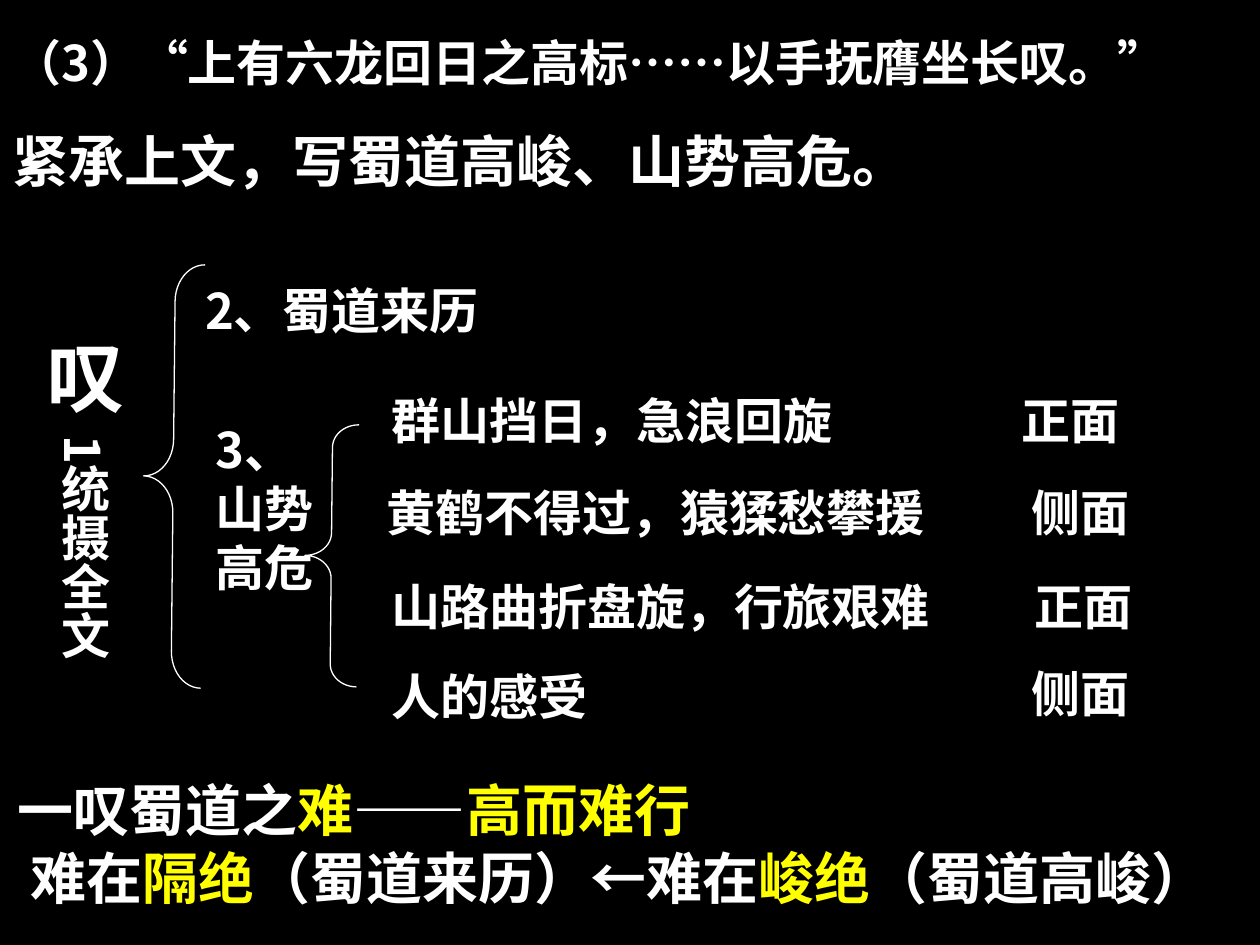
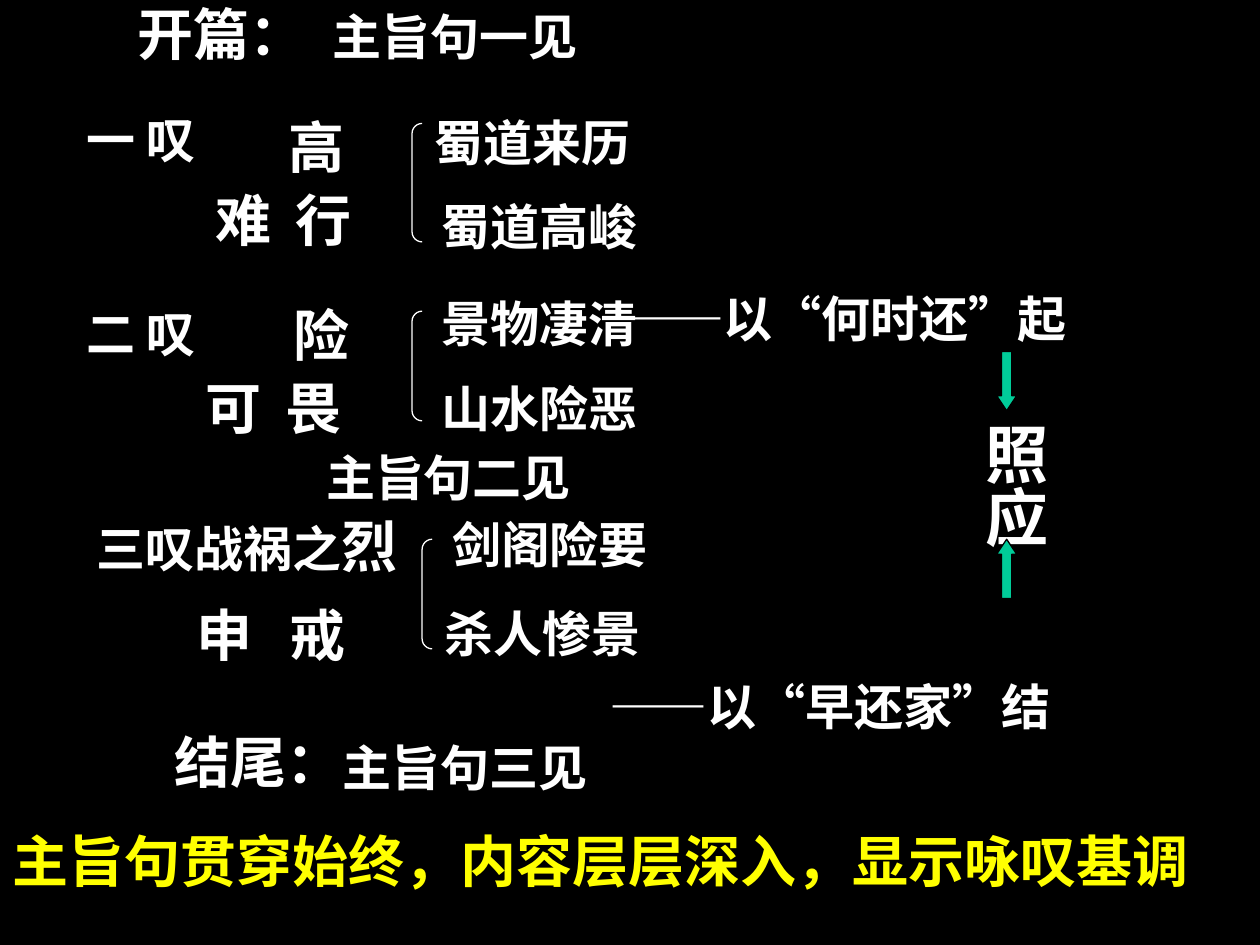
from dataclasses import dataclass

import pptx
import pptx.dml.color
import pptx.enum.shapes
import pptx.enum.text
import pptx.oxml
import pptx.oxml.ns
import pptx.util

SHAPES = pptx.enum.shapes.MSO_SHAPE
ALIGN = pptx.enum.text.PP_ALIGN
ANCHOR = pptx.enum.text.MSO_ANCHOR
COLUMN = pptx.util.Inches(0.1)


@dataclass(frozen=True)
class Theme:
    """Colours, fonts and type sizes shared by the slides."""
    ground: str = "000000"
    ink: str = "FFFFFF"
    accent: str = "FFFF00"
    arrow: str = "00CC99"
    chinese: str = "Noto Sans CJK SC"
    latin: str = "Times New Roman"
    body: int = 28
    key: int = 32
    link: int = 36
    sigh: int = 44
    stroke: float = 0.75


THEME = Theme()


@dataclass(frozen=True)
class Box:
    """A rectangle measured in grid columns and rows of a tenth of an inch."""
    left: float
    top: float
    width: float
    height: float

    def inside(self, left, top, width, height):
        """Return a box placed relative to this one."""
        return Box(self.left + left, self.top + top, width, height)

    def lengths(self):
        """Return the four lengths in slide units."""
        return [round(side * COLUMN) for side in
                (self.left, self.top, self.width, self.height)]


@dataclass(frozen=True)
class Span:
    """A stretch of text with its own size or colour."""
    text: str
    size: int = THEME.body
    color: str = THEME.ink
    font: str = THEME.chinese


def rgb(color):
    """Turn a hex string into a colour."""
    return pptx.dml.color.RGBColor.from_string(color)


def add_spans(para, spans):
    """Write spans into a paragraph as formatted runs."""
    for span in spans:
        run = para.add_run()
        run.text = span.text
        run.font.size = pptx.util.Pt(span.size)
        run.font.bold = True
        run.font.name = span.font
        run.font.color.rgb = rgb(span.color)
        east = pptx.oxml.parse_xml(
            f'<a:ea {pptx.oxml.ns.nsdecls("a")} typeface="{THEME.chinese}"/>')
        run.font._element.find(pptx.oxml.ns.qn("a:latin")).addnext(east)


def add_text(page, box, *lines, gap=0, anchor=ANCHOR.TOP, vertical=False):
    """Add a text box with one paragraph for each list of spans."""
    frame = page.shapes.add_textbox(*box.lengths()).text_frame
    frame.word_wrap = True
    frame.vertical_anchor = anchor
    if vertical:
        frame._txBody.bodyPr.set("vert", "eaVert")
        frame.margin_left = frame.margin_right = pptx.util.Inches(0.05)
        frame.margin_top = frame.margin_bottom = pptx.util.Inches(0.1)
    for index, spans in enumerate(lines):
        para = frame.add_paragraph() if index else frame.paragraphs[0]
        if index and gap:
            para.space_before = pptx.util.Pt(gap)
        add_spans(para, spans)
    return frame


def add_words(page, box, text, size=THEME.body, **options):
    """Add a single line of text in one size."""
    return add_text(page, box, [Span(text, size)], **options)


def add_pair(page, box, first, second, step):
    """Set two key characters apart with a tab stop."""
    frame = add_words(page, box, f"{first}\t{second}", THEME.key, anchor=ANCHOR.MIDDLE)
    frame.paragraphs[0]._p.get_or_add_pPr().append(pptx.oxml.parse_xml(
        f'<a:tabLst {pptx.oxml.ns.nsdecls("a")}>'
        f'<a:tab pos="{round(step * COLUMN)}" algn="l"/></a:tabLst>'))


def add_figure(page, kind, box, adjustments, line, fill=None, turn=0):
    """Add a brace, bracket or arrow."""
    shape = page.shapes.add_shape(kind, *box.lengths())
    shape.shadow.inherit = False
    shape.rotation = turn
    for index, value in enumerate(adjustments):
        shape.adjustments[index] = value
    shape.line.color.rgb = rgb(line)
    shape.line.width = pptx.util.Pt(THEME.stroke)
    if fill:
        shape.fill.solid()
        shape.fill.fore_color.rgb = rgb(fill)
    else:
        shape.fill.background()


def add_opening(page, box):
    """Write the quoted lines and what they describe."""
    add_text(page, box,
             [Span("（3）“上有六龙回日之高标……以手抚膺坐长叹。”")],
             [Span("紧承上文，写蜀道高峻、山势高危。", THEME.key)], gap=20)


def add_outline(page, box):
    """Draw the braces that lead from the sigh to its contents."""
    add_text(page, box.inside(0, 4.7, 8.3, 8.4),
             [Span("叹", THEME.sigh, font=THEME.latin)])
    add_words(page, box.inside(0.1, 12.6, 6.6, 22.8), "1统摄全文", vertical=True)
    for place, curve in (((8.6, 0, 4.7, 33.6), 0.62), ((21.4, 12.7, 4.2, 20.8), 0.43)):
        add_figure(page, SHAPES.LEFT_BRACE, box.inside(*place), [curve, 0.5],
                   THEME.ink, turn=0.6)
    add_words(page, box.inside(12.5, 0.8, 41.7, 5.7), "2、蜀道来历")
    add_words(page, box.inside(13.3, 11.8, 10, 15), "3、山势高危")


def add_views(page, box):
    """List the views of the mountains and the angle of each."""
    add_words(page, box.inside(0.4, 0, 41.2, 5.7), "群山挡日，急浪回旋")
    add_words(page, box.inside(0, 7.3, 48.7, 5.7), "黄鹤不得过，猿猱愁攀援")
    add_text(page, box.inside(0.4, 14.8, 51.7, 12.8),
             [Span("山路曲折盘旋，行旅艰难")], [Span("人的感受")], gap=17.5)
    angles = (("正面", 50.4, 0), ("侧面", 51.2, 7.3),
              ("正面", 51.4, 14.8), ("侧面", 51.2, 21.7))
    for angle, left, top in angles:
        add_text(page, box.inside(left, top, 10.8, 5.7),
                 [Span(angle, font=THEME.latin)])


def add_summary(page, box):
    """Sum up the first sigh with its key words in the accent colour."""
    def colour(*texts):
        """Alternate plain and accent spans."""
        return [Span(text, THEME.key, (THEME.ink, THEME.accent)[index % 2])
                for index, text in enumerate(texts)]

    frame = add_text(page, box, colour("一叹蜀道之", "难", "——", "高而难行"),
                     colour("难在", "隔绝", "（蜀道来历）←难在", "峻绝", "（蜀道高峻）"))
    frame.paragraphs[1]._p.get_or_add_pPr().set("marL", str(COLUMN))


def add_title(page, box, text):
    """Move and format the title placeholder."""
    title = page.shapes.title
    title.left, title.top, title.width, title.height = box.lengths()
    frame = title.text_frame
    frame.vertical_anchor = ANCHOR.MIDDLE
    para = frame.paragraphs[0]
    para.alignment = ALIGN.CENTER
    add_spans(para, [Span(text, THEME.key)])


def add_lament(page, box, heading, pair, topics):
    """Draw one sigh: its heading, its key pair and two bracketed topics."""
    spans, left, top = heading
    add_text(page, box.inside(left, top, 28, 6.4 if len(spans) > 1 else 5.7),
             spans, anchor=ANCHOR.MIDDLE)
    first, second, left, top, step = pair
    add_pair(page, box.inside(left, top, 22.8, 6.4), first, second, step)
    add_figure(page, SHAPES.LEFT_BRACKET, box.inside(26.8, 0, 0.8, box.height),
               [1], THEME.ink)
    for text, left, top in topics:
        add_words(page, box.inside(left, top, 18.4, 5.7), text, anchor=ANCHOR.MIDDLE)


def add_laments(page, box):
    """Stack the three sighs and the key words of the first two."""
    add_lament(page, box.inside(0, 1.6, 45, 9.4), ([Span("一 叹")], 0, -1.6),
               ("难", "行", 10.2, 4.4, 6.4),
               [("蜀道来历", 27.6, -1.4), ("蜀道高峻", 28.2, 5.3)])
    add_lament(page, box.inside(0, 16.5, 45, 8.7), ([Span("二 叹")], 0, -1.1),
               ("可", "畏", 9.4, 4.4, 6.4),
               [("景物凄清", 28.2, -1.9), ("山水险恶", 28.2, 4.8)])
    add_lament(page, box.inside(0.8, 34.6, 45, 8.7),
               ([Span("三叹战祸之"), Span("烈", THEME.key)], 0, -2.7),
               ("申", "戒", 7.9, 4.3, 7.4),
               [("剑阁险要", 28.2, -2.5), ("杀人惨景", 27.6, 4.6)])
    for word, left, top in (("高", 16, 0.2), ("险", 16.4, 15.1)):
        add_words(page, box.inside(left, top, 7.4, 6.4), word, THEME.key,
                  anchor=ANCHOR.MIDDLE)


def add_refrains(page, box):
    """Mark where the theme sentence returns and where the poem ends."""
    for text, left, top in (("主旨句一见", 12.5, 0), ("主旨句二见", 12, 35),
                            ("主旨句三见", 13.3, 58)):
        add_words(page, box.inside(left, top, 22.3, 5.7), text, anchor=ANCHOR.MIDDLE)
    add_words(page, box.inside(0, 57.2, 16.3, 6.4), "结尾：", THEME.key,
              anchor=ANCHOR.MIDDLE)


def add_echo(page, box):
    """Show how the beginning and the end answer each other."""
    for text, left, top in (("——以“何时还”起", 1.3, 0), ("——以“早还家”结", 0, 30.8)):
        add_words(page, box.inside(left, top, 37.8, 5.7), text)
    add_words(page, box.inside(28.6, 10.2, 8, 12.6), "照应", THEME.link, vertical=True)
    for kind, top in ((SHAPES.DOWN_ARROW, 5.5), (SHAPES.UP_ARROW, 20.4)):
        add_figure(page, kind, box.inside(31.7, top, 1.6, 4.7), [0.5, 0.75],
                   THEME.ground, THEME.arrow)


def build_first_sigh(deck):
    """Build the slide on the first sigh."""
    page = deck.slides.add_slide(deck.slide_layouts[6])
    add_opening(page, Box(0, 2.1, 100, 13.8))
    add_outline(page, Box(2.8, 21, 26, 34))
    add_views(page, Box(29.7, 30.5, 62, 28))
    add_summary(page, Box(0.4, 61.1, 99.6, 11.7))


def build_structure(deck):
    """Build the slide on the structure of the whole poem."""
    page = deck.slides.add_slide(deck.slide_layouts[5])
    add_title(page, Box(7, -3.6, 21.2, 12.5), "开篇：")
    add_refrains(page, Box(12.9, 0, 36, 64))
    add_laments(page, Box(5.9, 8.2, 47, 46))
    add_echo(page, Box(47.4, 22.4, 40, 37))
    add_text(page, Box(0, 65.1, 100, 6.4),
             [Span("主旨句贯穿始终，内容层层深入，显示咏叹基调", THEME.key, THEME.accent)])


def main():
    """Build the deck and save it."""
    deck = pptx.Presentation()
    deck.slide_width = 100 * COLUMN
    deck.slide_height = 75 * COLUMN
    ground = deck.slide_master.background.fill
    ground.solid()
    ground.fore_color.rgb = rgb(THEME.ground)
    build_first_sigh(deck)
    build_structure(deck)
    deck.save("out.pptx")


if __name__ == "__main__":
    main()
